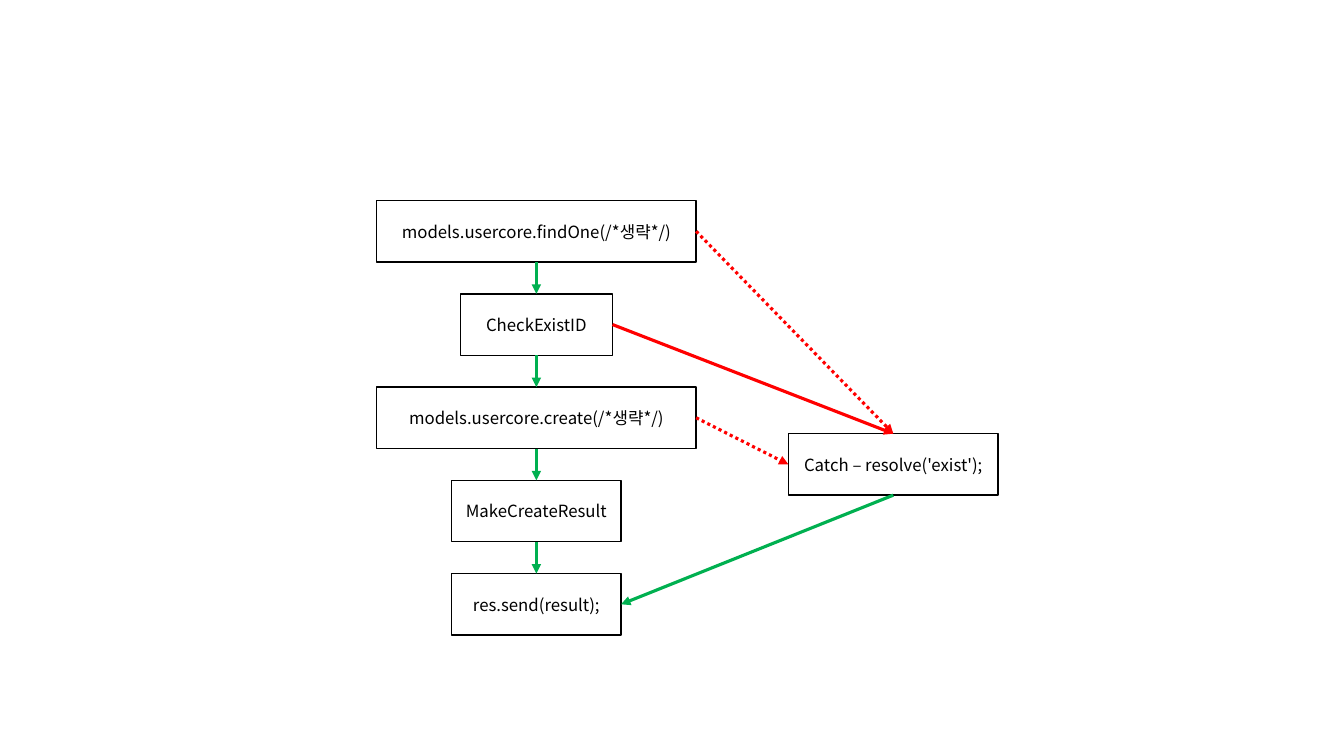
import pptx
import pptx.util
import pptx.dml.color
import pptx.enum.dml
import pptx.enum.shapes
import pptx.enum.text
import pptx.oxml.ns
import lxml.etree

RGB = pptx.dml.color.RGBColor
WHITE = RGB(255, 255, 255)
BLACK = RGB(0, 0, 0)
GREEN = RGB(0, 176, 80)
RED = RGB(255, 0, 0)
FONT = "Noto Sans CJK KR"
MID = 5.32
SIDE = 8.86
TOP = 1.99
PITCH = (5.69 - TOP) / 4
HIGH = 0.61
UP, LEFT, DOWN, RIGHT = range(4)


def add_tag(parent, name, **attrs):
    return lxml.etree.SubElement(parent, pptx.oxml.ns.qn(name), **attrs)


def add_box(slide, text, mid, row, width):
    inch = pptx.util.Inches
    box = slide.shapes.add_shape(
        pptx.enum.shapes.MSO_SHAPE.FLOWCHART_PROCESS,
        inch(mid - width / 2), inch(TOP + row * PITCH), inch(width), inch(HIGH))
    box.shadow.inherit = False
    box.fill.solid()
    box.fill.fore_color.rgb = WHITE
    box.line.color.rgb = BLACK
    box.line.width = pptx.util.Pt(1)
    frame = box.text_frame
    frame.text = text
    frame.vertical_anchor = pptx.enum.text.MSO_ANCHOR.MIDDLE
    para = frame.paragraphs[0]
    para.alignment = pptx.enum.text.PP_ALIGN.CENTER
    font = para.runs[0].font
    font.size = pptx.util.Pt(12)
    font.color.rgb = BLACK
    font.name = FONT
    add_tag(para.runs[0]._r.get_or_add_rPr(), "a:ea", typeface=FONT)
    return box


def add_arrow(slide, start, exit, end, entry, color, dotted=False):
    arrow = slide.shapes.add_connector(
        pptx.enum.shapes.MSO_CONNECTOR.STRAIGHT, 0, 0, 0, 0)
    arrow.begin_connect(start, exit)
    arrow.end_connect(end, entry)
    arrow.line.color.rgb = color
    arrow.line.width = pptx.util.Pt(2.25)
    if dotted:
        arrow.line.dash_style = pptx.enum.dml.MSO_LINE.ROUND_DOT
    add_tag(arrow.line._get_or_add_ln(), "a:tailEnd", type="triangle")
    add_tag(arrow._element.spPr, "a:effectLst")


def main():
    deck = pptx.Presentation()
    deck.slide_width = pptx.util.Inches(13.33)
    deck.slide_height = pptx.util.Inches(7.5)
    slide = deck.slides.add_slide(deck.slide_layouts[6])

    steps = [
        ("models.usercore.findOne(/*생략*/)", 3.17),
        ("CheckExistID", 1.51),
        ("models.usercore.create(/*생략*/)", 3.17),
        ("MakeCreateResult", 1.68),
        ("res.send(result);", 1.68),
    ]
    boxes = [add_box(slide, text, MID, row, width)
             for row, (text, width) in enumerate(steps)]
    catch = add_box(slide, "Catch – resolve('exist');", SIDE, 2.5, 2.08)

    for box, after in zip(boxes, boxes[1:]):
        add_arrow(slide, box, DOWN, after, UP, GREEN)
    find, check, create, _, send = boxes
    add_arrow(slide, check, RIGHT, catch, UP, RED)
    add_arrow(slide, catch, DOWN, send, RIGHT, GREEN)
    add_arrow(slide, find, RIGHT, catch, UP, RED, True)
    add_arrow(slide, create, RIGHT, catch, LEFT, RED, True)

    deck.save("out.pptx")


main()
